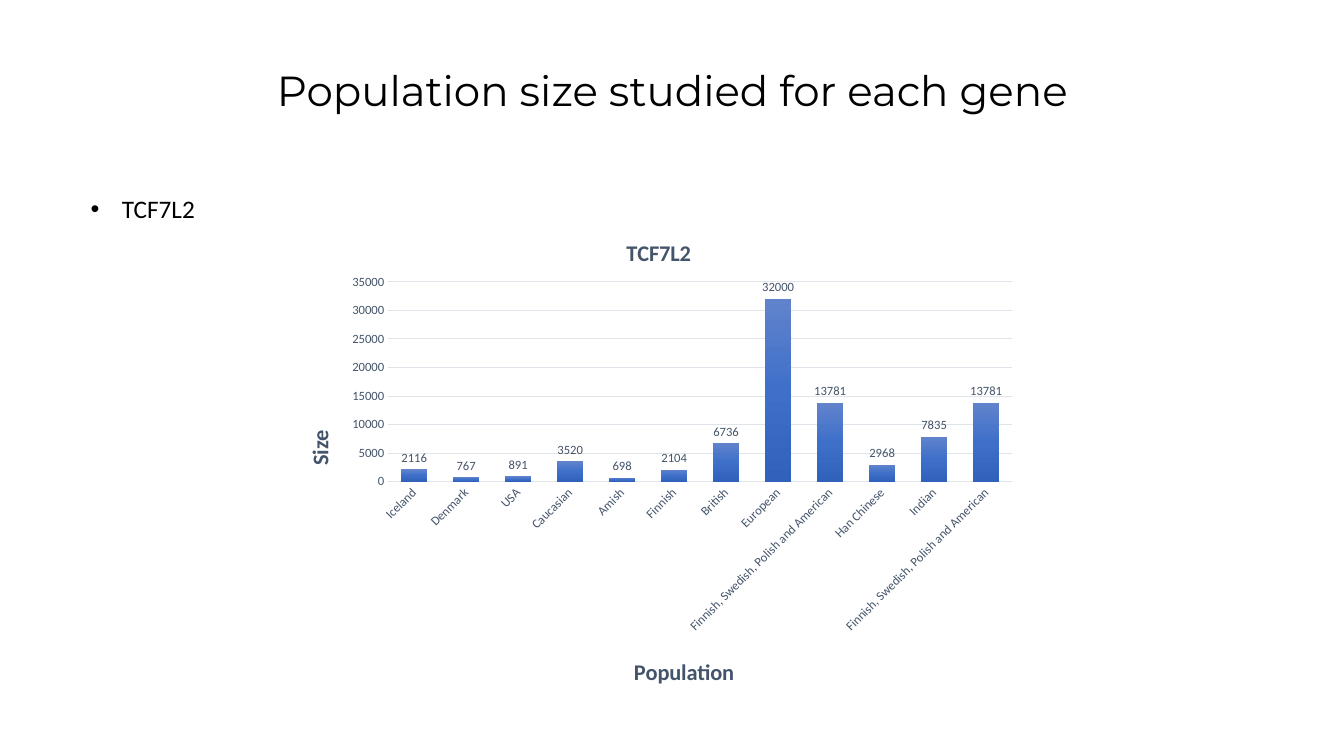
from copy import deepcopy

from pptx import Presentation
from pptx import util as u
from pptx.chart.data import CategoryChartData
from pptx.dml.color import RGBColor
from pptx.enum import chart as kinds, text
from pptx.oxml import parse_xml
from pptx.oxml.ns import nsdecls

BLACK = RGBColor(0x00, 0x00, 0x00)
SLATE = RGBColor(0x44, 0x54, 0x6A)
GRID = RGBColor(0xE0, 0xE5, 0xEB)
BAR_STOPS = [
    (0, RGBColor(0x61, 0x83, 0xCB)),
    (0.5, RGBColor(0x3E, 0x70, 0xCA)),
    (1, RGBColor(0x30, 0x62, 0xBB)),
]

HEADING = "Population size studied for each gene"
GENE = "TCF7L2"
MIXED = "Finnish, Swedish, Polish and American"
POPULATIONS = [
    ("Iceland", 2116), ("Denmark", 767), ("USA", 891), ("Caucasian", 3520),
    ("Amish", 698), ("Finnish", 2104), ("British", 6736), ("European", 32000),
    (MIXED, 13781), ("Han Chinese", 2968), ("Indian", 7835), (MIXED, 13781),
]


def place(box, left, top, width, height):
    """Move and size a shape, in inches."""
    box.left, box.top = u.Inches(left), u.Inches(top)
    box.width, box.height = u.Inches(width), u.Inches(height)


def style(font, size, color=SLATE, name="Calibri", bold=False):
    """Set the look of a font."""
    font.size, font.name, font.bold = u.Pt(size), name, bold
    font.color.rgb = color


def write(frame, words, size, **look):
    """Put one styled run in the first paragraph and return the paragraph."""
    para = frame.paragraphs[0]
    span = para.add_run()
    span.text = words
    style(span.font, size, **look)
    return para


def set_layout(parent, x, y, size=None):
    """Pin a chart part at fractions of the chart area."""
    values = [("xMode", "edge"), ("yMode", "edge"), ("x", x), ("y", y)]
    if size:
        values.insert(0, ("layoutTarget", "inner"))
        values += [("w", size[0]), ("h", size[1])]
    parts = "".join(f'<c:{tag} val="{value}"/>' for tag, value in values)
    for old in parent.xpath("./c:layout"):
        parent.remove(old)
    layout = parse_xml(f'<c:layout {nsdecls("c")}><c:manualLayout>{parts}'
                       "</c:manualLayout></c:layout>")
    position = len(parent.xpath("./c:tx"))
    parent.insert(position, layout)


def add_title(owner, words, size, x, y):
    """Give a chart or an axis a bold title at a fixed place."""
    owner.has_title = True
    title = owner.chart_title if hasattr(owner, "chart_title") else owner.axis_title
    write(title.text_frame, words, size, bold=True)
    set_layout(title._element, x, y)
    return title


def style_axis(axis):
    """Remove tick marks and set the label font."""
    axis.major_tick_mark = axis.minor_tick_mark = kinds.XL_TICK_MARK.NONE
    style(axis.tick_labels.font, 9)


def thin_line(line):
    """Draw a pale hairline."""
    line.color.rgb = GRID
    line.width = u.Pt(0.75)


def fill_bars(series):
    """Fill the bars with a vertical gradient of three stops."""
    fill = series.format.fill
    fill.gradient()
    fill.gradient_angle = 270
    stop_list = series._element.xpath(".//a:gsLst")[0]
    stop_list.append(deepcopy(stop_list[-1]))
    for stop, (position, color) in zip(fill.gradient_stops, BAR_STOPS):
        stop.position = position
        stop.color.rgb = color


def add_population_chart(page):
    """Add the column chart of population sizes."""
    data = CategoryChartData()
    data.categories = [name for name, _ in POPULATIONS]
    data.add_series("Series 1", [size for _, size in POPULATIONS])
    chart = page.shapes.add_chart(
        kinds.XL_CHART_TYPE.COLUMN_CLUSTERED, u.Inches(2.76), u.Inches(2.08),
        u.Inches(7.42), u.Inches(4.88), data).chart
    style(chart.font, 10, BLACK)
    chart.has_legend = False
    add_title(chart, GENE, 16, 0.46, 0.05)
    set_layout(chart._chartSpace.xpath(".//c:plotArea")[0], 0.147, 0.147, (0.834, 0.406))

    names, sizes = chart.category_axis, chart.value_axis
    for axis in (names, sizes):
        style_axis(axis)
    thin_line(names.format.line)
    names._element.xpath("./c:txPr/a:bodyPr")[0].set("rot", "-2700000")
    add_title(names, "Population", 16, 0.47, 0.9)

    sizes.minimum_scale, sizes.maximum_scale, sizes.major_unit = 0, 35000, 5000
    sizes.format.line.fill.background()
    thin_line(sizes.major_gridlines.format.line)
    title = add_title(sizes, "Size", 16, 0.03, 0.44)
    turned = title._element.xpath(".//a:bodyPr")[0]
    turned.set("rot", "-5400000")
    turned.set("vert", "horz")

    plot = chart.plots[0]
    plot.gap_width, plot.overlap, plot.vary_by_categories = 100, -24, False
    fill_bars(plot.series[0])
    labels = plot.series[0].data_labels
    labels.show_value = True
    labels.position = kinds.XL_LABEL_POSITION.OUTSIDE_END
    style(labels.font, 9)


deck = Presentation()
deck.slide_width, deck.slide_height = u.Inches(13.33), u.Inches(7.5)
page = deck.slides.add_slide(deck.slide_layouts[1])
for spare in list(page.placeholders)[2:]:
    spare._element.getparent().remove(spare._element)

heading = page.shapes.title
place(heading, 1.67, 0.45, 10, 0.75)
heading.text_frame.vertical_anchor = text.MSO_ANCHOR.BOTTOM
para = write(heading.text_frame, HEADING, 30, color=BLACK, name="Montserrat")
para.alignment = text.PP_ALIGN.CENTER
para.line_spacing = 0.9

gene_list = page.placeholders[1]
place(gene_list, 0.8, 1.87, 3.02, 0.41)
para = write(gene_list.text_frame, GENE, 18, color=BLACK)
para.space_before = u.Pt(0)
indent = u.Inches(0.31)
para._p.get_or_add_pPr().set("marL", str(indent))
para._p.get_or_add_pPr().set("indent", str(-indent))

add_population_chart(page)
deck.save("out.pptx")
